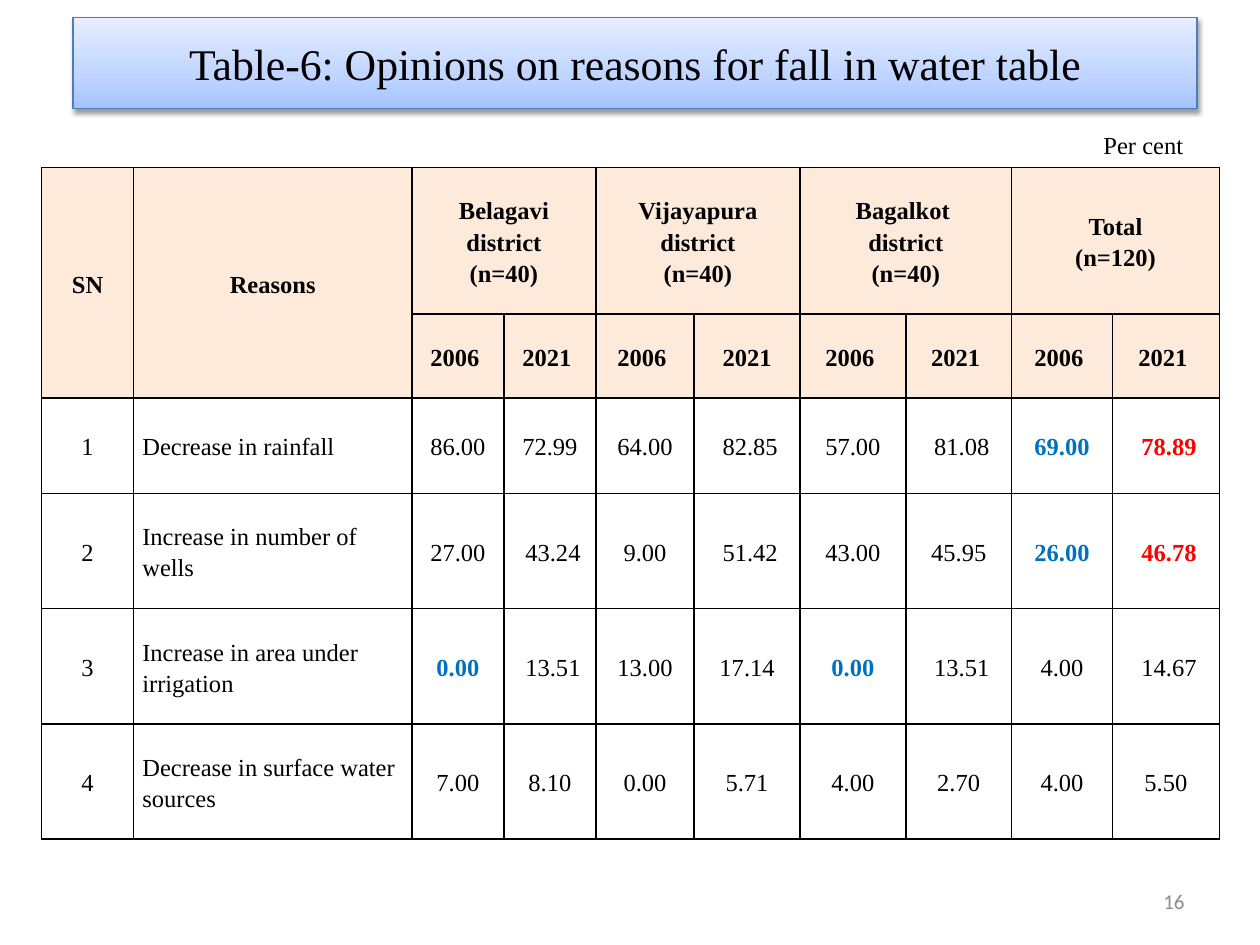
from lxml import etree
from pptx import Presentation
from pptx.dml.color import RGBColor
from pptx.enum.shapes import MSO_SHAPE
from pptx.enum.text import MSO_ANCHOR, PP_ALIGN
from pptx.oxml import parse_xml
from pptx.util import Inches, Pt

RECTANGLE = MSO_SHAPE.RECTANGLE
MIDDLE, TOP = MSO_ANCHOR.MIDDLE, MSO_ANCHOR.TOP
LEFT, CENTER, RIGHT = PP_ALIGN.LEFT, PP_ALIGN.CENTER, PP_ALIGN.RIGHT
NAMESPACE = 'xmlns:a="http://schemas.openxmlformats.org/drawingml/2006/main"'

THEME = {
    "serif": "Times New Roman", "sans": "Calibri",
    "title": 25, "body": 14, "number": 12,
    "ink": "000000", "grey": "8C8C8C", "blue": "0070C0", "red": "FF0000",
    "header": "FDEADA", "edge": "4B7EBC",
    "gradient": [(0, "A4C4FF"), (35, "BFD4FF"), (100, "E6EEFF")],
}

deck = Presentation()
deck.slide_width, deck.slide_height = Inches(10), Inches(7.5)
page = deck.slides.add_slide(deck.slide_layouts[6])

# One percent of the slide each way
ACROSS, DOWN = deck.slide_width / 100, deck.slide_height / 100


def place(left, top, width, height):
    return [int(n) for n in (left * ACROSS, top * DOWN, width * ACROSS, height * DOWN)]


def write(frame, lines, align, size, color=THEME["ink"], bold=False,
          font=THEME["serif"], spacing=1.0):
    for index, line in enumerate(lines):
        para = frame.paragraphs[0] if index == 0 else frame.add_paragraph()
        para.alignment, para.line_spacing = align, spacing
        span = para.add_run()
        span.text = line
        for name, value in {"name": font, "size": Pt(size), "bold": bold}.items():
            setattr(span.font, name, value)
        span.font.color.rgb = RGBColor.from_string(color)


# Title bar with gradient and soft shadow
bar = page.shapes.add_shape(RECTANGLE, *place(5.8, 1.87, 89.2, 9.6))
bar.line.color.rgb = RGBColor.from_string(THEME["edge"])
bar.line.width = Pt(0.75)
bar.fill.background()
stops = "".join(f'<a:gs pos="{share * 1000}"><a:srgbClr val="{color}"/></a:gs>'
                for share, color in THEME["gradient"])
gradient = parse_xml(f'<a:gradFill {NAMESPACE} rotWithShape="1"><a:gsLst>{stops}</a:gsLst>'
                     '<a:lin ang="16200000" scaled="0"/></a:gradFill>')
shadow = parse_xml(f'<a:effectLst {NAMESPACE}><a:outerShdw blurRad="{Pt(3.1)}" '
                   f'dist="{Pt(1.6)}" dir="5400000" rotWithShape="0">'
                   '<a:srgbClr val="000000"><a:alpha val="38000"/></a:srgbClr>'
                   '</a:outerShdw></a:effectLst>')
bar_look = bar.element.spPr
bar_look.replace(bar_look.find("{*}noFill"), gradient)
bar_look.append(shadow)
bar.text_frame.word_wrap = True
bar.text_frame.vertical_anchor = MIDDLE
write(bar.text_frame, ["Table-6: Opinions on reasons for fall in water table"],
      CENTER, THEME["title"])

# Table content
HEADS = [["SN"], ["Reasons"], ["Belagavi district", "(n=40)"], [],
         ["Vijayapura district", "(n=40)"], [], ["Bagalkot ", "district", "(n=40)"], [],
         ["Total", "(n=120)"], []]
YEARS = ["", "", "2006 ", "2021 ", "2006 ", "2021", "2006 ", "2021 ", "2006 ", "2021 "]
REASONS = [
    ["1", "Decrease in rainfall", "86.00", "72.99", "64.00", " 82.85",
     "57.00", " 81.08", "69.00", " 78.89"],
    ["2", "Increase in number of wells", "27.00", " 43.24", "9.00", " 51.42",
     "43.00", "45.95", "26.00", " 46.78"],
    ["3", "Increase in area under irrigation", "0.00", " 13.51", "13.00", "17.14",
     "0.00", " 13.51", "4.00", " 14.67"],
    ["4", "Decrease in surface water sources", "7.00", "8.10", "0.00", "5.71",
     "4.00", "2.70", "4.00", "5.50"],
]
ROWS = [HEADS] + [[[text] if text else [] for text in row] for row in [YEARS] + REASONS]
HIGHLIGHTS = {(2, 8): "blue", (2, 9): "red", (3, 8): "blue", (3, 9): "red",
              (4, 2): "blue", (4, 6): "blue"}
WIDTHS = [7.3, 22.1, 7.3, 7.3, 7.8, 8.4, 8.4, 8.4, 8, 8.5]
HEIGHTS = [15.33, 8.4, 10.13, 12.13, 12.13, 12.13]
HEADER_ROWS = 2

# Table grid
table = page.shapes.add_table(len(ROWS), len(WIDTHS),
                              *place(3.3, 17.73, sum(WIDTHS), sum(HEIGHTS))).table
table.first_row = table.horz_banding = False
for column, width in zip(table.columns, WIDTHS):
    column.width = int(width * ACROSS)
for row, height in zip(table.rows, HEIGHTS):
    row.height = int(height * DOWN)
for index in (0, 1):
    table.cell(0, index).merge(table.cell(1, index))
for index in range(2, len(WIDTHS), 2):
    table.cell(0, index).merge(table.cell(0, index + 1))

# Table cells
CELL_FORMAT = {"vertical_anchor": MIDDLE,
               "margin_left": Inches(0.07), "margin_right": Inches(0.07),
               "margin_top": Inches(0.21), "margin_bottom": Inches(0.21)}
for r, row in enumerate(ROWS):
    for c, lines in enumerate(row):
        cell = table.cell(r, c)
        is_header = r < HEADER_ROWS
        for name, value in CELL_FORMAT.items():
            setattr(cell, name, value)
        for side in ("lnL", "lnR", "lnT", "lnB"):
            border = parse_xml(f'<a:{side} {NAMESPACE} w="{Pt(1)}"><a:solidFill>'
                               f'<a:srgbClr val="{THEME["ink"]}"/></a:solidFill></a:{side}>')
            cell._tc.get_or_add_tcPr().append(border)
        if is_header:
            cell.fill.solid()
            cell.fill.fore_color.rgb = RGBColor.from_string(THEME["header"])
        else:
            cell.fill.background()
        write(cell.text_frame, lines, LEFT if c == 1 and not is_header else CENTER,
              THEME["body"], THEME[HIGHLIGHTS.get((r, c), "ink")],
              is_header or (r, c) in HIGHLIGHTS, spacing=1.15)

# Page number and unit label
LABELS = [
    ("16", (71.7, 92.67, 23.3, 5.33), MIDDLE, True, RIGHT,
     {"size": THEME["number"], "color": THEME["grey"], "font": THEME["sans"]}),
    ("Per cent", (86.6, 13.07, 8.4, 4.53), TOP, False, LEFT, {"size": THEME["body"]}),
]
for text, area, anchor, wrap, align, look in LABELS:
    box = page.shapes.add_textbox(*place(*area))
    box.text_frame.word_wrap = wrap
    box.text_frame.vertical_anchor = anchor
    write(box.text_frame, [text], align, **look)

deck.save("out.pptx")
